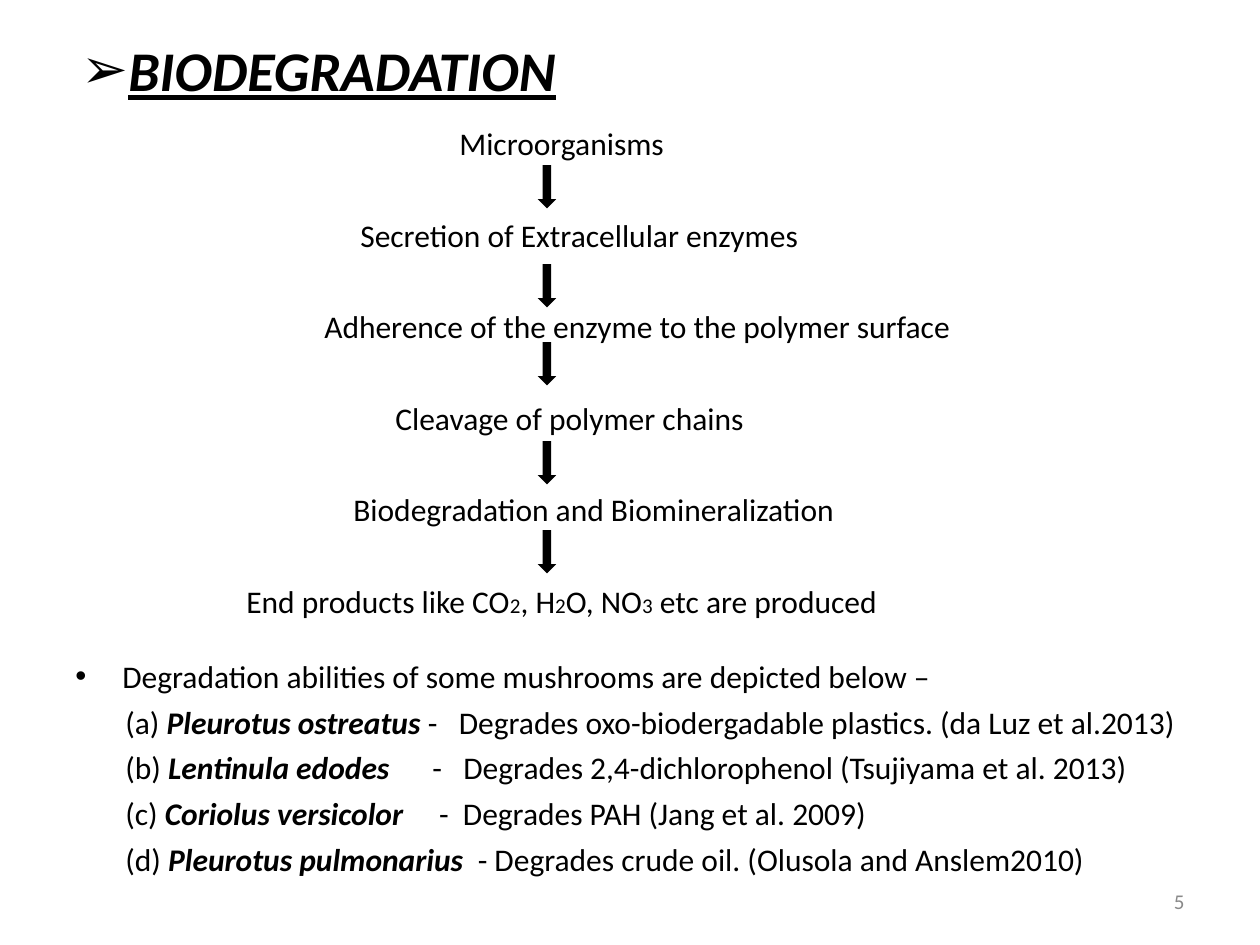
from lxml.etree import SubElement
from pptx import Presentation
from pptx.dml.color import RGBColor
from pptx.enum.shapes import MSO_SHAPE as Preset
from pptx.enum.text import MSO_ANCHOR as Anchor, PP_ALIGN as Align
from pptx.oxml.ns import qn
from pptx.util import Emu, Pt

SCALE = 914400 // 126
TEXT_LEFT = 75
SPACE_WIDTH = 4.07
STEPS = [
    (459, ["Microorganisms"]),
    (360, ["Secretion of Extracellular enzymes"]),
    (324, ["Adherence of the enzyme to the polymer surface"]),
    (395, ["Cleavage of polymer chains"]),
    (353, ["Biodegradation and Biomineralization"]),
    (246, ["End products like CO", "2", ", H", "2", "O, NO", "3", " etc are produced"]),
]
ARROW_TOPS = [167, 266, 344, 443, 532]
MUSHROOMS = [
    ("(a) ", "Pleurotus ostreatus", 1, 3,
     "Degrades oxo-biodergadable plastics. (da Luz et al.2013)"),
    ("(b) ", "Lentinula edodes", 6, 3,
     "Degrades 2,4-dichlorophenol (Tsujiyama et al. 2013)"),
    ("(c) ", "Coriolus versicolor", 5, 2, "Degrades PAH (Jang et al. 2009)"),
    ("(d) ", "Pleurotus pulmonarius", 2, 1,
     "Degrades crude oil. (Olusola and Anslem2010)"),
]


def px(length):
    """Turn picture pixels into EMU."""
    return Emu(round(length * SCALE))


def color(value):
    """Turn a hex string into a colour."""
    return RGBColor.from_string(value)


def add_box(page, left, top, width, height, anchor=Anchor.TOP):
    """Add a wrapping text box and return its frame."""
    box = page.shapes.add_textbox(px(left), px(top), px(width), px(height))
    frame = box.text_frame
    frame.word_wrap = True
    frame.vertical_anchor = anchor
    return frame


def add_para(frame, texts, size=18, before=0, margin=0, indent=0,
             bullet=None, fill="000000"):
    """Add a paragraph with one run per text and return it."""
    first = frame.paragraphs[0]
    para = first if not first.runs else frame.add_paragraph()
    properties = para._p.get_or_add_pPr()
    properties.set("marL", str(px(margin)))
    properties.set("indent", str(px(indent)))
    if bullet:
        SubElement(properties, qn("a:buFont"), typeface="Arial")
        SubElement(properties, qn("a:buChar"), char=bullet)
    else:
        SubElement(properties, qn("a:buNone"))
    para.space_before = Pt(before)
    para.font.name = "Calibri"
    para.font.size = Pt(size)
    para.font.color.rgb = color(fill)
    for text in texts:
        para.add_run().text = text
    return para


def widen(span, times):
    """Stretch a one-space run to a multiple of its width."""
    spacing = round((times - 1) * SPACE_WIDTH * 100)
    span.font._element.set("spc", str(spacing))


def add_title(page):
    """Add the bulleted heading."""
    frame = add_box(page, 69, 30, 1134, 79, Anchor.MIDDLE)
    para = add_para(frame, ["BIODEGRADATION"], 32, margin=46, indent=-46, bullet="➢")
    para.font.bold = para.font.italic = para.font.underline = True


def add_steps(frame):
    """Write the stages, each starting at its own left edge."""
    for number, (left, texts) in enumerate(STEPS):
        para = add_para(frame, texts, before=30.7 if number else 0,
                        margin=left - TEXT_LEFT)
        for digit in para.runs[1::2]:
            digit.font.size = Pt(12)


def add_mushrooms(frame):
    """Write the list of mushrooms with widened gaps around the dashes."""
    add_para(frame, ["Degradation abilities of some mushrooms are depicted below –"],
             before=21.4, margin=47, indent=-47, bullet="•")
    for label, name, gap_before, gap_after, ability in MUSHROOMS:
        para = add_para(frame, [label, name, " ", "-", " ", ability],
                        before=4.5, margin=50)
        _, title, left_gap, _, right_gap, _ = para.runs
        title.font.bold = title.font.italic = True
        widen(left_gap, gap_before)
        widen(right_gap, gap_after)


def add_arrow(page, top):
    """Add a black arrow that points down to the next stage."""
    arrow = page.shapes.add_shape(Preset.DOWN_ARROW, px(542), px(top), px(10), px(39))
    arrow.adjustments[0] = arrow.adjustments[1] = 0.5
    arrow.shadow.inherit = False
    arrow.fill.solid()
    arrow.fill.fore_color.rgb = color("000000")
    arrow.line.color.rgb = color("000000")
    arrow.line.width = Pt(2)
    SubElement(arrow.line._get_or_add_ln(), qn("a:miter"), lim="800000")


def main():
    """Build and save the slide."""
    deck = Presentation()
    deck.slide_width, deck.slide_height = px(1260), px(945)
    page = deck.slides.add_slide(deck.slide_layouts[6])
    add_title(page)
    body = add_box(page, 63, 118, 1134, 759)
    add_steps(body)
    add_mushrooms(body)
    number = add_box(page, 903, 876, 294, 50, Anchor.MIDDLE)
    add_para(number, ["5"], 12, fill="898989").alignment = Align.RIGHT
    for top in ARROW_TOPS:
        add_arrow(page, top)
    deck.save("out.pptx")


main()
